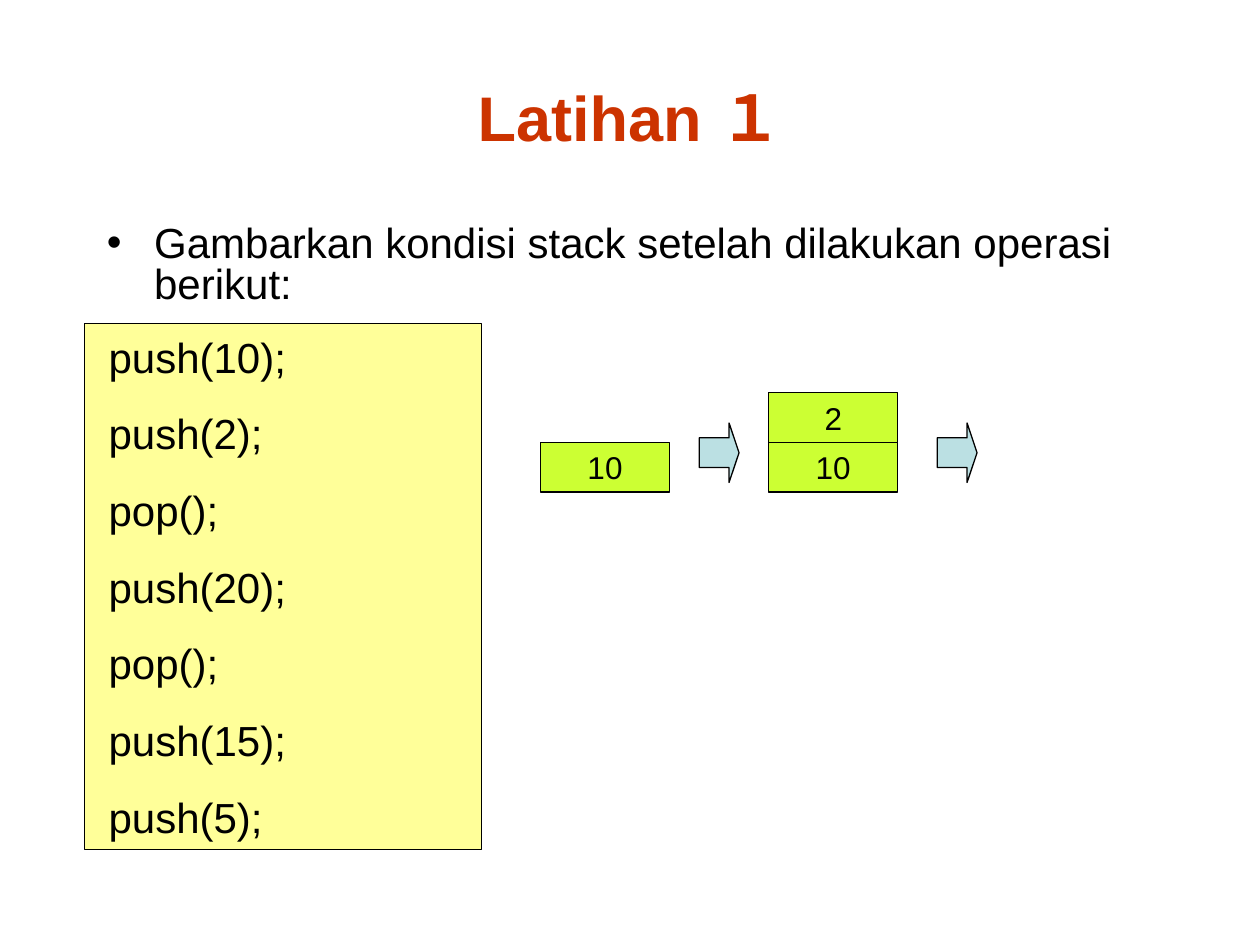
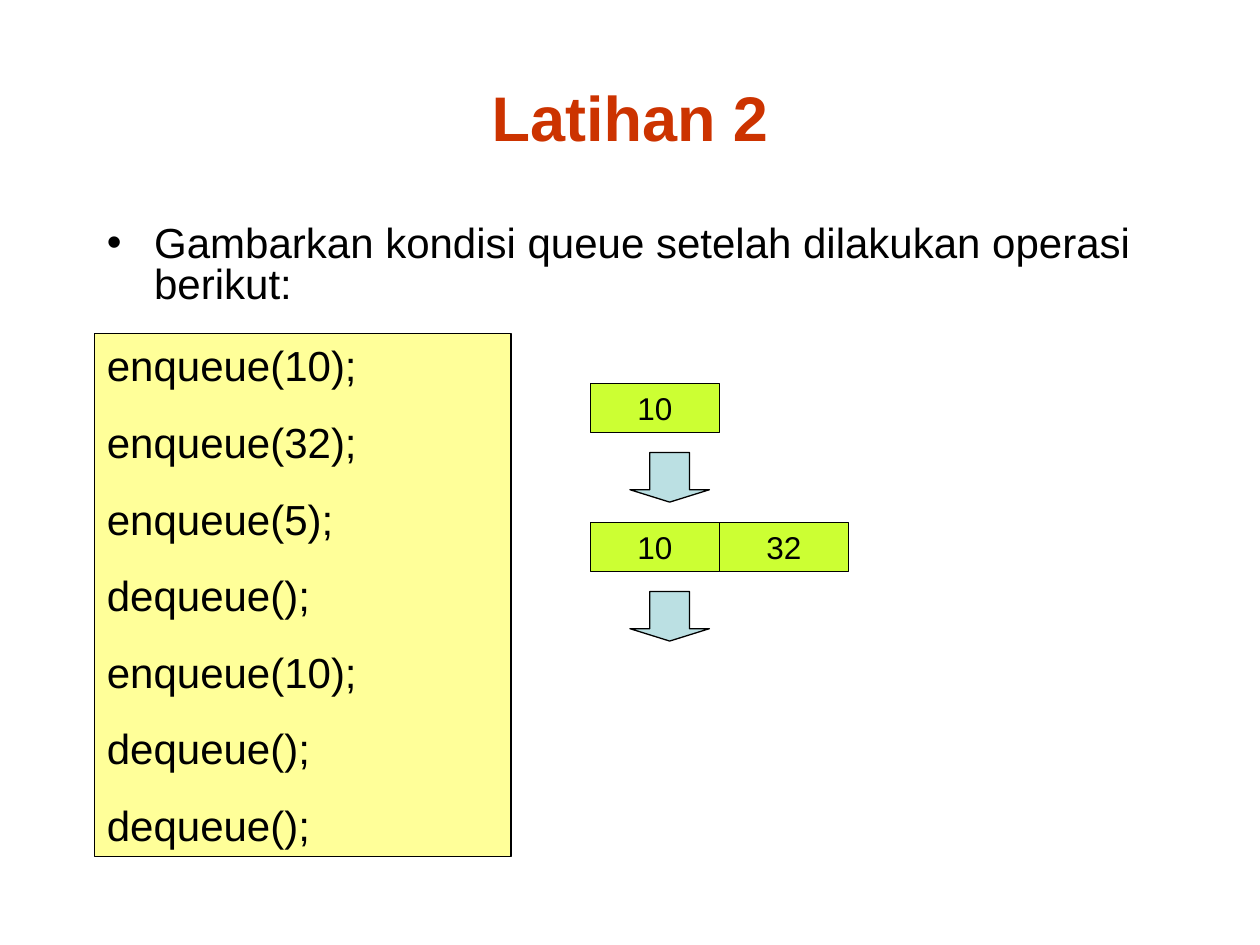
from dataclasses import dataclass

from lxml.etree import SubElement
from pptx import Presentation
from pptx.dml.color import RGBColor
from pptx.enum.shapes import MSO_SHAPE
from pptx.enum.text import MSO_ANCHOR, PP_ALIGN
from pptx.oxml.ns import qn
from pptx.shapes.autoshape import Shape
from pptx.slide import Slide
from pptx.text.text import TextFrame
from pptx.util import Pt


@dataclass(frozen=True)
class Theme:
    font: str = "Arial"
    ink: RGBColor = RGBColor(0x00, 0x00, 0x00)
    title: RGBColor = RGBColor(0xCC, 0x33, 0x00)
    code_fill: RGBColor = RGBColor(0xFF, 0xFF, 0x99)
    cell_fill: RGBColor = RGBColor(0xCC, 0xFF, 0x33)
    arrow_fill: RGBColor = RGBColor(0xBB, 0xE0, 0xE3)
    title_size: float = 36
    body_size: float = 24
    cell_size: float = 18
    outline: float = 0.75


@dataclass(frozen=True)
class Box:
    """A rectangle in points."""
    left: float
    top: float
    width: float
    height: float

    def lengths(self) -> tuple[Pt, Pt, Pt, Pt]:
        return Pt(self.left), Pt(self.top), Pt(self.width), Pt(self.height)


@dataclass(frozen=True)
class Exercise:
    title: str
    question: str
    operations: tuple[str, ...]
    code_box: Box
    code_indent: float
    code_anchor: MSO_ANCHOR


THEME = Theme()
TITLE_BOX = Box(36, 21.6, 648, 90)
QUESTION_BOX = Box(54, 126, 624, 87)
BULLET_INDENT = 27
OPERATION_GAP = 15
CELL_WIDTH, CELL_HEIGHT = 73.7, 28.35

STACK_EXERCISE = Exercise(
    "Latihan １",
    "Gambarkan kondisi stack setelah dilakukan operasi berikut:",
    ("push(10);", "push(2);", "pop();", "push(20);", "pop();", "push(15);", "push(5);"),
    Box(48.2, 184.8, 226.8, 300.5), 6.7, MSO_ANCHOR.MIDDLE,
)
QUEUE_EXERCISE = Exercise(
    "Latihan 2",
    "Gambarkan kondisi queue setelah dilakukan operasi berikut:",
    ("enqueue(10);", "enqueue(32);", "enqueue(5);", "dequeue();",
     "enqueue(10);", "dequeue();", "dequeue();"),
    Box(54, 190.6, 238.1, 298.8), 0, MSO_ANCHOR.TOP,
)


def write(frame: TextFrame, *lines: str, size: float, color: RGBColor = THEME.ink,
          bold: bool = False, align: PP_ALIGN = PP_ALIGN.LEFT,
          anchor: MSO_ANCHOR = MSO_ANCHOR.MIDDLE, gap: float = 0,
          line_spacing: float = 1.0) -> None:
    frame.word_wrap = True
    frame.vertical_anchor = anchor
    for index, line in enumerate(lines):
        paragraph = frame.add_paragraph() if index else frame.paragraphs[0]
        paragraph.alignment = align
        paragraph.space_before = Pt(gap)
        paragraph.line_spacing = line_spacing
        run = paragraph.add_run()
        run.text = line
        run.font.name = THEME.font
        run.font.size = Pt(size)
        run.font.bold = bold
        run.font.color.rgb = color


def add_outlined(slide: Slide, kind: MSO_SHAPE, box: Box, fill: RGBColor) -> Shape:
    shape = slide.shapes.add_shape(kind, *box.lengths())
    shape.shadow.inherit = False
    shape.fill.solid()
    shape.fill.fore_color.rgb = fill
    shape.line.color.rgb = THEME.ink
    shape.line.width = Pt(THEME.outline)
    return shape


def add_cell(slide: Slide, left: float, top: float, value: int) -> None:
    cell = add_outlined(slide, MSO_SHAPE.RECTANGLE,
                        Box(left, top, CELL_WIDTH, CELL_HEIGHT), THEME.cell_fill)
    write(cell.text_frame, str(value), size=THEME.cell_size, align=PP_ALIGN.CENTER)


def add_arrow(slide: Slide, kind: MSO_SHAPE, box: Box) -> None:
    arrow = add_outlined(slide, kind, box, THEME.arrow_fill)
    arrow.adjustments[0] = 0.5
    arrow.adjustments[1] = 0.25


def add_question(slide: Slide, question: str) -> None:
    frame = slide.shapes.add_textbox(*QUESTION_BOX.lengths()).text_frame
    write(frame, question, size=THEME.body_size, anchor=MSO_ANCHOR.TOP,
          gap=6, line_spacing=0.8)
    properties = frame.paragraphs[0]._p.get_or_add_pPr()
    properties.set("marL", str(Pt(BULLET_INDENT)))
    properties.set("indent", str(-Pt(BULLET_INDENT)))
    SubElement(properties, qn("a:buFont")).set("typeface", THEME.font)
    SubElement(properties, qn("a:buChar")).set("char", "•")


def add_exercise(deck: Presentation, exercise: Exercise) -> Slide:
    """Add a slide with the title, the question and the list of operations."""
    slide = deck.slides.add_slide(deck.slide_layouts[6])
    code = add_outlined(slide, MSO_SHAPE.RECTANGLE, exercise.code_box, THEME.code_fill)
    code.text_frame.margin_left = Pt(7.2 + exercise.code_indent)
    write(code.text_frame, *exercise.operations, size=THEME.body_size,
          anchor=exercise.code_anchor, gap=OPERATION_GAP)
    title = slide.shapes.add_textbox(*TITLE_BOX.lengths())
    write(title.text_frame, exercise.title, size=THEME.title_size, color=THEME.title,
          bold=True, align=PP_ALIGN.CENTER)
    add_question(slide, exercise.question)
    return slide


def draw_stack_states(slide: Slide) -> None:
    """Draw the states from left to right, each growing upwards."""
    left, bottom_cell_top = 308.9, 252.8
    state_step, arrow_left, arrow_step = 130.4, 399.6, 136
    for state, values in enumerate(((10,), (10, 2))):
        for level, value in enumerate(values):
            add_cell(slide, left + state * state_step,
                     bottom_cell_top - level * CELL_HEIGHT, value)
        add_arrow(slide, MSO_SHAPE.RIGHT_ARROW,
                  Box(arrow_left + state * arrow_step, 241.7, 22.7, 34))


def draw_queue_states(slide: Slide) -> None:
    """Draw the states from top to bottom, each growing to the right."""
    left, top, state_step, arrow_offset = 337.4, 219, 79.4, 39.6
    for state, values in enumerate(((10,), (10, 32))):
        row_top = top + state * state_step
        for position, value in enumerate(values):
            add_cell(slide, left + position * CELL_WIDTH, row_top, value)
        add_arrow(slide, MSO_SHAPE.DOWN_ARROW,
                  Box(360, row_top + arrow_offset, 45.4, CELL_HEIGHT))


def main() -> None:
    deck = Presentation()
    deck.slide_width, deck.slide_height = Pt(720), Pt(540)
    draw_stack_states(add_exercise(deck, STACK_EXERCISE))
    draw_queue_states(add_exercise(deck, QUEUE_EXERCISE))
    deck.save("out.pptx")


if __name__ == "__main__":
    main()
